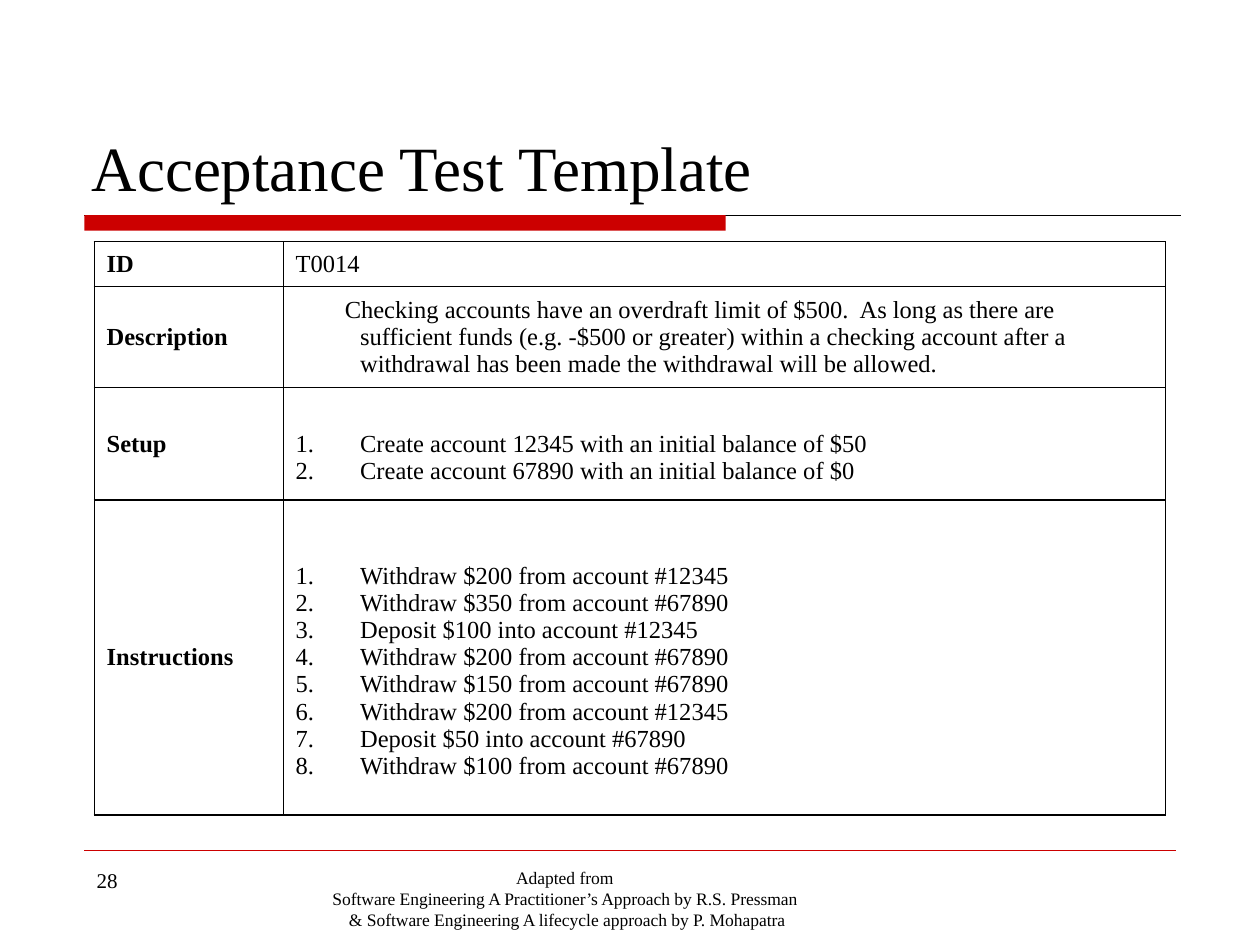
from lxml.etree import SubElement
from pptx import Presentation
from pptx.dml.color import RGBColor
from pptx.enum.shapes import MSO_CONNECTOR as Connector, MSO_SHAPE as Shape
from pptx.enum.text import MSO_ANCHOR as Anchor, PP_ALIGN as Align
from pptx.oxml.ns import qn
from pptx.util import Cm, Pt

FONT, BLACK, RED = "Times New Roman", "000000", "CC0000"
HANG = 1.3
LINE_HEIGHT = 0.55

TEXTS = [
    {"at": (1.6, 0.85, 22.23, 3.39), "lines": ["Acceptance Test Template"],
     "size": 36, "anchor": Anchor.BOTTOM},
    {"at": (1.7, 17.36, 5.5, 1.32), "lines": ["28"], "size": 12},
    {"at": (6.14, 17.36, 10.58, 1.06), "size": 10, "align": Align.CENTER,
     "lines": ["Adapted from ",
               "Software Engineering A Practitioner’s Approach by R.S. Pressman ",
               "& Software Engineering A lifecycle approach by P. Mohapatra"]},
]
RULES = [((1.7, 4.34), (23.8, 4.34), BLACK, 0.75),
         ((1.7, 17.15), (23.7, 17.15), RED, 0.25)]
BAR = (1.7, 4.34, 12.93, 0.31)

TABLE_AT = (1.9, 4.87)
COLUMNS = [3.81, 17.78]
ROWS = [
    {"label": "ID", "height": 0.91, "lines": ["T0014"]},
    {"label": "Description", "height": 2.03, "indent": -0.31, "lines": [
        "Checking accounts have an overdraft limit of $500.\u00a0 As long as there are "
        "sufficient funds (e.g. -$500 or greater) within a checking account after a "
        "withdrawal has been made the withdrawal will be allowed."]},
    {"label": "Setup", "height": 2.26, "numbered": True, "lines": [
        "Create account 12345 with an initial balance of $50",
        "Create account 67890 with an initial balance of $0"]},
    {"label": "Instructions", "height": 6.35, "numbered": True, "lines": [
        "Withdraw $200 from account #12345",
        "Withdraw $350 from account #67890",
        "Deposit $100 into account #12345",
        "Withdraw $200 from account #67890",
        "Withdraw $150 from account #67890",
        "Withdraw $200 from account #12345",
        "Deposit $50 into account #67890",
        "Withdraw $100 from account #67890"]},
]


def color(value):
    """Turn a hex string into a colour."""
    return RGBColor.from_string(value)


def assign(target, values):
    """Set attributes from a dict of format values."""
    for name, value in values.items():
        setattr(target, name, value)


def write(frame, lines, size, bold=False, align=Align.LEFT):
    """Write one paragraph per line and return the paragraphs."""
    for index, line in enumerate(lines):
        para = frame.paragraphs[0] if index == 0 else frame.add_paragraph()
        para.alignment = align
        span = para.add_run()
        span.text = line
        assign(span.font, {"name": FONT, "size": Pt(size), "bold": bold})
        span.font.color.rgb = color(BLACK)
    return frame.paragraphs


def add_text(page, at, lines, size, anchor=Anchor.TOP, align=Align.LEFT):
    """Add a wrapped text box."""
    frame = page.shapes.add_textbox(*map(Cm, at)).text_frame
    assign(frame, {"word_wrap": True, "vertical_anchor": anchor})
    write(frame, lines, size, align=align)


def add_rule(page, start, end, line_color, width):
    """Add a straight line without shadow."""
    rule = page.shapes.add_connector(Connector.STRAIGHT, *map(Cm, start + end))
    rule.line.color.rgb = color(line_color)
    rule.line.width = Pt(width)
    SubElement(rule.element.spPr, qn("a:effectLst"))


def add_bar(page, at):
    """Add the thick bar under the title."""
    bar = page.shapes.add_shape(Shape.RECTANGLE, *map(Cm, at))
    bar.shadow.inherit = False
    bar.fill.solid()
    bar.fill.fore_color.rgb = color(RED)
    bar.line.fill.background()


def add_borders(cell):
    """Draw thin black borders on all four sides of a cell."""
    props = cell._tc.get_or_add_tcPr()
    for place, side in enumerate(("lnL", "lnR", "lnT", "lnB")):
        line = props.makeelement(qn(f"a:{side}"), {"w": str(Pt(0.75))})
        fill = SubElement(line, qn("a:solidFill"))
        SubElement(fill, qn("a:srgbClr"), val=BLACK)
        props.insert(place, line)


def fill_cell(cell, lines, bold=False, indent=-HANG, numbered=False):
    """Fill a cell with hanging, optionally numbered paragraphs."""
    top = 0.13 + (LINE_HEIGHT if numbered else 0)
    assign(cell, {"vertical_anchor": Anchor.MIDDLE,
                  "margin_left": Cm(0.25), "margin_right": Cm(0.25),
                  "margin_top": Cm(top), "margin_bottom": Cm(0.13)})
    for para in write(cell.text_frame, lines, 14, bold):
        props = para._p.get_or_add_pPr()
        props.set("marL", str(Cm(HANG)))
        props.set("indent", str(Cm(indent)))
        if numbered:
            SubElement(props, qn("a:buFont"), typeface=FONT)
            SubElement(props, qn("a:buAutoNum"), type="arabicPeriod")
    cell.fill.background()
    add_borders(cell)


def add_template(page):
    """Add the acceptance test table."""
    size = sum(COLUMNS), sum(row["height"] for row in ROWS)
    table = page.shapes.add_table(len(ROWS), len(COLUMNS),
                                  *map(Cm, TABLE_AT + size)).table
    assign(table, {"first_row": False, "horz_banding": False})
    for column, width in zip(table.columns, COLUMNS):
        column.width = Cm(width)
    for index, row in enumerate(ROWS):
        table.rows[index].height = Cm(row["height"])
        fill_cell(table.cell(index, 0), [row["label"]], bold=True)
        fill_cell(table.cell(index, 1), row["lines"],
                  indent=row.get("indent", -HANG),
                  numbered=row.get("numbered", False))


deck = Presentation()
assign(deck, {"slide_width": Cm(25.4), "slide_height": Cm(19.05)})
page = deck.slides.add_slide(deck.slide_layouts[6])
for rule in RULES:
    add_rule(page, *rule)
add_bar(page, BAR)
for text in TEXTS:
    add_text(page, **text)
add_template(page)
deck.save("out.pptx")
